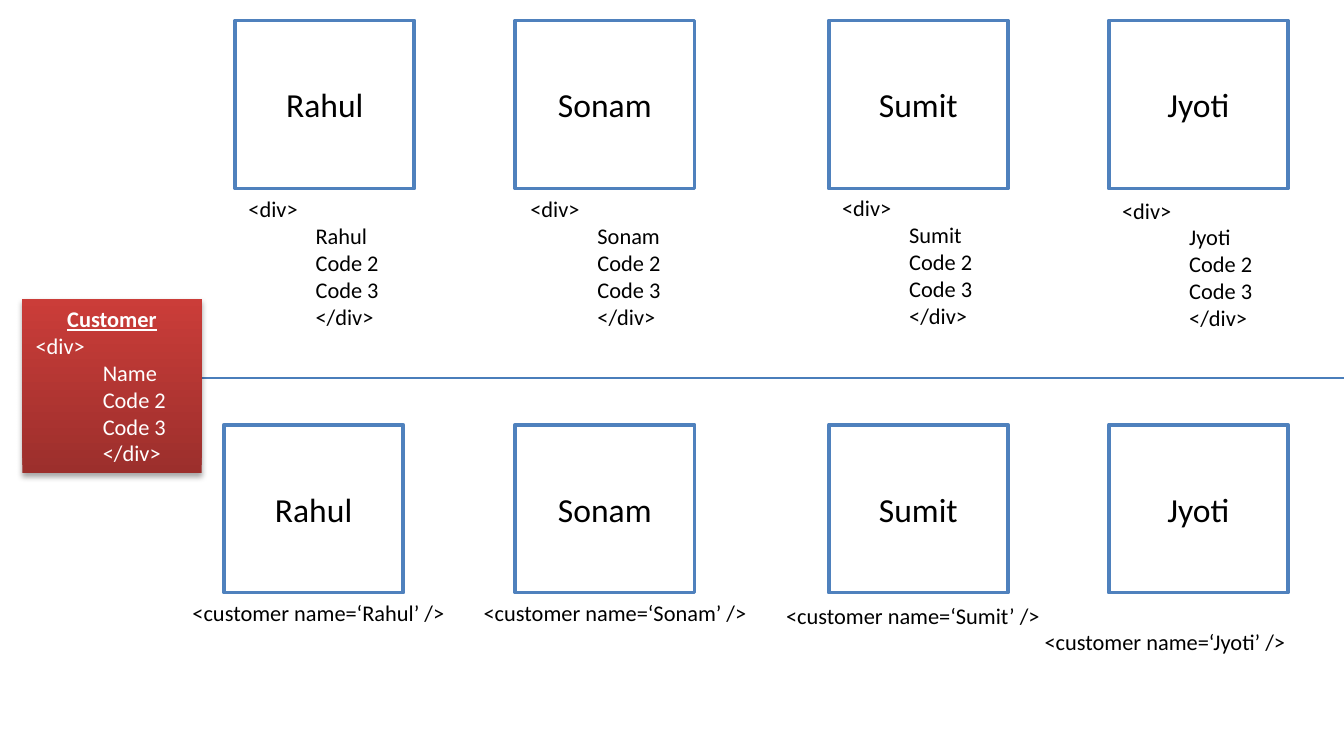
from lxml.etree import SubElement
from pptx import Presentation
from pptx.dml.color import RGBColor
from pptx.enum.shapes import MSO_CONNECTOR, MSO_SHAPE
from pptx.enum.text import MSO_ANCHOR, MSO_AUTO_SIZE, PP_ALIGN
from pptx.oxml.ns import qn
from pptx.util import Pt

COLORS = {
    "white": "FFFFFF",
    "black": "000000",
    "border": "4F81BD",
    "divider": "4A7EBB",
    "card_dark": "9C2F2C",
    "card_light": "CB3D39",
}


def rgb(name):
    return RGBColor.from_string(COLORS[name])


def write(tf, lines, size=12, color="black", indented=()):
    tf.word_wrap = True
    tf.vertical_anchor = MSO_ANCHOR.TOP
    tf.auto_size = MSO_AUTO_SIZE.SHAPE_TO_FIT_TEXT
    tf.text = "\n".join(lines)
    for i, p in enumerate(tf.paragraphs):
        p.alignment = PP_ALIGN.LEFT
        p.font.name = "Calibri"
        p.font.size = Pt(size)
        p.font.color.rgb = rgb(color)
        if i in indented:
            pPr = p._p.get_or_add_pPr()
            pPr.set("marL", str(Pt(36)))
            pPr.set("indent", "0")


prs = Presentation()
prs.slide_width, prs.slide_height = Pt(720), Pt(405)
s = prs.slides.add_slide(prs.slide_layouts[6])

names = ["Rahul", "Sonam", "Sumit", "Jyoti"]
box_w, box_h = 96, 90
rows = [
    (11, [126, 276, 444, 594]),
    (227.5, [120, 276, 444, 594]),
]
for top, lefts in rows:
    for name, left in zip(names, lefts):
        sp = s.shapes.add_shape(MSO_SHAPE.RECTANGLE, Pt(left), Pt(top), Pt(box_w), Pt(box_h))
        sp.shadow.inherit = False
        sp.fill.solid()
        sp.fill.fore_color.rgb = rgb("white")
        sp.line.color.rgb = rgb("border")
        sp.line.width = Pt(2)
        tf = sp.text_frame
        write(tf, [name], size=18)
        tf.auto_size = MSO_AUTO_SIZE.NONE
        tf.vertical_anchor = MSO_ANCHOR.MIDDLE
        tf.paragraphs[0].alignment = PP_ALIGN.CENTER

code_spots = [(126, 101), (277, 101), (444, 100.5), (594, 101.8)]
for name, (left, top) in zip(names, code_spots):
    sp = s.shapes.add_textbox(Pt(left), Pt(top), Pt(box_w), Pt(79))
    write(sp.text_frame, ["<div>", name, "Code 2", "Code 3", "</div>"], indented=range(1, 5))

tag_spots = [(96, 317.5), (252, 317.5), (414, 319), (552.5, 333)]
for name, (left, top) in zip(names, tag_spots):
    sp = s.shapes.add_textbox(Pt(left), Pt(top), Pt(156), Pt(36))
    write(sp.text_frame, [f"<customer name=‘{name}’ />"])

divider = s.shapes.add_connector(MSO_CONNECTOR.STRAIGHT, Pt(108), Pt(202.5), Pt(720), Pt(202.5))
divider.line.color.rgb = rgb("divider")
divider.line.width = Pt(0.75)
SubElement(divider._element.spPr, qn("a:effectLst"))

card = s.shapes.add_shape(MSO_SHAPE.RECTANGLE, Pt(12), Pt(160), Pt(box_w), Pt(93.5))
card.line.fill.background()
card.fill.gradient()
card.fill.gradient_angle = 90
for stop, color in zip(card.fill.gradient_stops, ["card_dark", "card_light"]):
    stop.color.rgb = rgb(color)
card.shadow.inherit = False
effects = card._element.spPr.find(qn("a:effectLst"))
shadow = SubElement(effects, qn("a:outerShdw"), blurRad=str(Pt(3.1)), dist=str(Pt(1.8)),
                    dir="5400000", rotWithShape="0")
shade = SubElement(shadow, qn("a:srgbClr"), val=COLORS["black"])
SubElement(shade, qn("a:alpha"), val="35000")
write(card.text_frame, ["Customer", "<div>", "Name", "Code 2", "Code 3", "</div>"],
      color="white", indented=range(2, 6))
p = card.text_frame.paragraphs[0]
p.alignment = PP_ALIGN.CENTER
p.font.bold = True
p.font.underline = True

prs.save("out.pptx")
